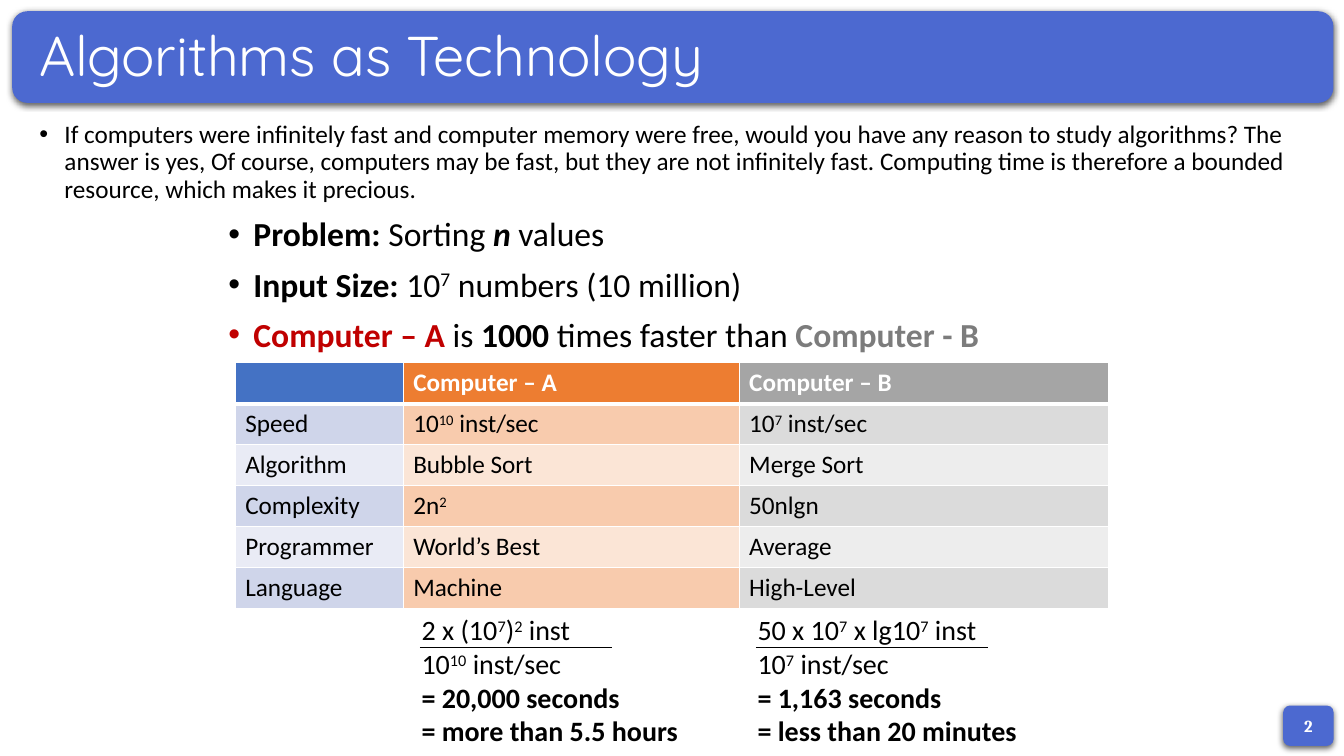
from lxml import etree
from pptx import Presentation
from pptx.dml.color import RGBColor
from pptx.enum.shapes import MSO_CONNECTOR, MSO_SHAPE
from pptx.enum.text import MSO_ANCHOR, PP_ALIGN
from pptx.oxml import parse_xml
from pptx.oxml.ns import nsdecls, qn
from pptx.util import Pt

ROUNDED = MSO_SHAPE.ROUNDED_RECTANGLE
STRAIGHT = MSO_CONNECTOR.STRAIGHT
MIDDLE = MSO_ANCHOR.MIDDLE
CENTER = PP_ALIGN.CENTER

WHITE = RGBColor(0xFF, 0xFF, 0xFF)
BLACK = RGBColor(0x00, 0x00, 0x00)
INDIGO = RGBColor(0x4C, 0x69, 0xD0)
RED = RGBColor(0xC0, 0x00, 0x00)
GRAY = RGBColor(0x7C, 0x7C, 0x7C)
HEADER_FILLS = [RGBColor(0x44, 0x72, 0xC4), RGBColor(0xED, 0x7D, 0x31), RGBColor(0xA5, 0xA5, 0xA5)]
DARK_BAND = [RGBColor(0xCF, 0xD5, 0xEA), RGBColor(0xF8, 0xCB, 0xAD), RGBColor(0xDB, 0xDB, 0xDB)]
LIGHT_BAND = [RGBColor(0xE9, 0xEB, 0xF5), RGBColor(0xFB, 0xE5, 0xD6), RGBColor(0xED, 0xED, 0xED)]

BOLD, ITALIC, SUPER = "b", "i", "^"

INTRO = [
    [("If computers were infinitely fast and computer memory were free, would you have any reason "
      "to study algorithms? The answer is yes, Of course, computers may be fast, but they are not "
      "infinitely fast. Computing time is therefore a bounded resource, which makes it precious.",)],
]
PROBLEM = [
    [("Problem:", BOLD), (" Sorting ",), ("n", BOLD + ITALIC), (" values",)],
    [("Input Size:", BOLD), (" 10",), ("7", SUPER), (" numbers (10 million)",)],
    [("Computer – A", BOLD, RED), (" is ",), ("1000", BOLD), (" times faster than ",),
     ("Computer - B", BOLD, GRAY)],
]
SPEED_A = [("10",), ("10", SUPER), (" inst/sec",)]
SPEED_B = [("10",), ("7", SUPER), (" inst/sec",)]
COMPARISON = [
    [[], [("Computer – A", BOLD, WHITE)], [("Computer – B", BOLD, WHITE)]],
    [[("Speed",)], SPEED_A, SPEED_B],
    [[("Algorithm",)], [("Bubble Sort",)], [("Merge Sort",)]],
    [[("Complexity",)], [("2n",), ("2", SUPER)], [("50nlgn",)]],
    [[("Programmer",)], [("World’s Best",)], [("Average",)]],
    [[("Language",)], [("Machine",)], [("High-Level",)]],
]
TIME_A = [
    [("2 x (10",), ("7", SUPER), (")",), ("2", SUPER), (" inst",)],
    SPEED_A,
    [("= 20,000 seconds", BOLD)],
    [("= more than 5.5 hours", BOLD)],
]
TIME_B = [
    [("50 x 10",), ("7", SUPER), (" x lg10",), ("7", SUPER), (" inst",)],
    SPEED_B,
    [("= 1,163 seconds", BOLD)],
    [("= less than 20 minutes", BOLD)],
]


def points(*lengths):
    return [Pt(length) for length in lengths]


def add_runs(paragraph, runs, size, font="Calibri"):
    for text, style, color in ((*run, "", BLACK)[:3] if len(run) == 1 else (*run, BLACK)[:3] for run in runs):
        run = paragraph.add_run()
        run.text = text
        run.font.name = font
        run.font.size = Pt(size)
        run.font.bold = BOLD in style
        run.font.italic = ITALIC in style
        run.font.color.rgb = color
        if SUPER in style:
            run._r.get_or_add_rPr().set("baseline", "30000")


def add_bullet(paragraph, color):
    paragraph.line_spacing = 0.9
    paragraph.space_before = Pt(10)
    properties = paragraph._p.get_or_add_pPr()
    properties.set("marL", str(Pt(18)))
    properties.set("indent", str(-Pt(18)))
    properties.append(parse_xml(
        f'<a:buClr {nsdecls("a")}><a:srgbClr val="{color}"/></a:buClr>'))
    properties.append(parse_xml(f'<a:buFont {nsdecls("a")} typeface="Arial"/>'))
    properties.append(parse_xml(f'<a:buChar {nsdecls("a")} char="•"/>'))


def add_text(slide, box, lines, size, bulleted=False):
    frame = slide.shapes.add_textbox(*points(*box)).text_frame
    frame.word_wrap = True
    for index, runs in enumerate(lines):
        paragraph = frame.paragraphs[0] if index == 0 else frame.add_paragraph()
        if bulleted:
            add_bullet(paragraph, runs[0][2] if len(runs[0]) == 3 else BLACK)
        add_runs(paragraph, runs, size)


def add_panel(slide, box):
    panel = slide.shapes.add_shape(ROUNDED, *points(*box))
    panel.shadow.inherit = False
    panel.fill.solid()
    panel.fill.fore_color.rgb = INDIGO
    panel.line.fill.background()
    panel._element.spPr.find(qn("a:effectLst")).append(parse_xml(
        f'<a:outerShdw {nsdecls("a")} blurRad="{Pt(4.5)}" dist="{Pt(1.5)}" dir="5400000" '
        'algn="ctr" rotWithShape="0"><a:srgbClr val="000000"><a:alpha val="63000"/>'
        '</a:srgbClr></a:outerShdw>'))
    panel.text_frame.vertical_anchor = MIDDLE
    return panel


def add_title_bar(slide, box, title):
    add_panel(slide, box)
    left, top, width, height = box
    heading = slide.shapes.add_textbox(*points(left + 12.2, top + 10, width - 25, height - 18.7))
    heading.text_frame.word_wrap = True
    heading.text_frame.vertical_anchor = MIDDLE
    paragraph = heading.text_frame.paragraphs[0]
    paragraph.line_spacing = 0.9
    add_runs(paragraph, [(title, "", WHITE)], 40, "Quicksand")


def add_page_badge(slide, box, number):
    paragraph = add_panel(slide, box).text_frame.paragraphs[0]
    paragraph.alignment = CENTER
    add_runs(paragraph, [(number, BOLD, WHITE)], 12, "Cambria")


def add_borders(cell, top, bottom):
    properties = cell._tc.get_or_add_tcPr()
    widths = {"lnL": 1, "lnR": 1, "lnT": top, "lnB": bottom}
    for position, (side, width) in enumerate(widths.items()):
        border = etree.Element(qn(f"a:{side}"), w=str(Pt(width)))
        fill = etree.SubElement(border, qn("a:solidFill"))
        etree.SubElement(fill, qn("a:srgbClr"), val=str(WHITE))
        properties.insert(position, border)


def add_comparison(slide, box, column_widths):
    height = box[3]
    table = slide.shapes.add_table(len(COMPARISON), len(column_widths), *points(*box)).table
    for column, width in zip(table.columns, column_widths):
        column.width = Pt(width)
    for r, entries in enumerate(COMPARISON):
        table.rows[r].height = Pt(height / len(COMPARISON))
        fills = HEADER_FILLS if r == 0 else DARK_BAND if r % 2 else LIGHT_BAND
        for c, runs in enumerate(entries):
            cell = table.cell(r, c)
            cell.fill.solid()
            cell.fill.fore_color.rgb = fills[c]
            add_borders(cell, 3 if r == 1 else 1, 3 if r == 0 else 1)
            add_runs(cell.text_frame.paragraphs[0], runs, 18)


def add_running_time(slide, box, lines, bar_width):
    add_text(slide, box, lines, 20)
    left, top = box[0] + 6, box[1] + 28.4
    bar = slide.shapes.add_connector(STRAIGHT, *points(left, top, left + bar_width, top))
    bar.line.color.rgb = BLACK
    bar.line.width = Pt(0.5)
    etree.SubElement(bar._element.spPr, qn("a:effectLst"))


def main():
    deck = Presentation()
    deck.slide_width, deck.slide_height = points(960, 540)
    slide = deck.slides.add_slide(deck.slide_layouts[6])
    add_title_bar(slide, (8.7, 8, 943.8, 65.5), "Algorithms as Technology")
    add_text(slide, (21, 83.5, 919, 70), INTRO, 18, bulleted=True)
    add_text(slide, (156, 152, 648, 102), PROBLEM, 24, bulleted=True)
    add_comparison(slide, (168, 259.2, 624, 175.2), (120, 240, 264))
    add_running_time(slide, (294, 434.2, 204, 104.4), TIME_A, 137)
    add_running_time(slide, (534, 434.2, 204, 104.4), TIME_B, 165.6)
    add_page_badge(slide, (916.6, 504, 36, 28.8), "2")
    deck.save("out.pptx")


if __name__ == "__main__":
    main()
